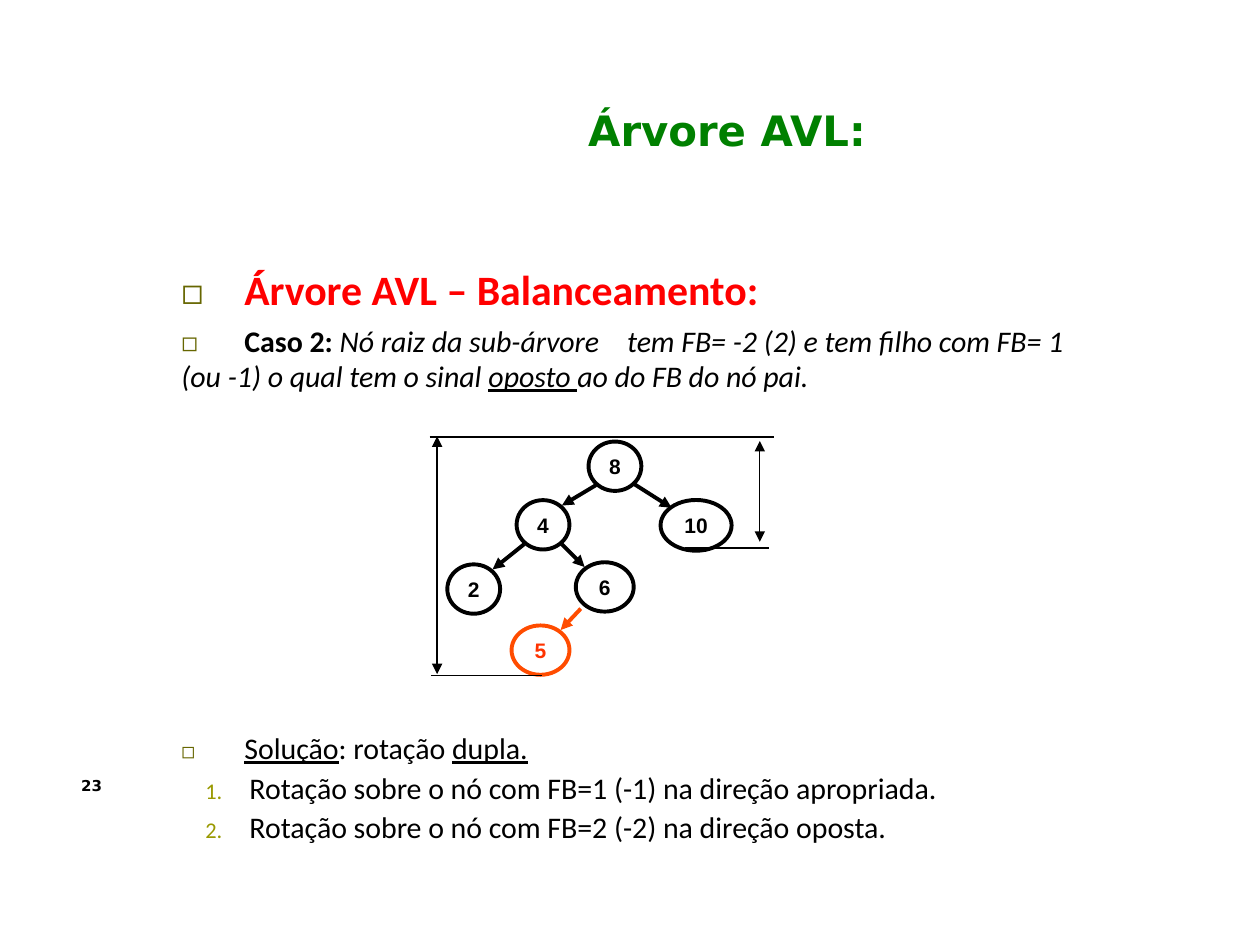
from dataclasses import dataclass
from typing import Optional

from pptx import Presentation
from pptx.dml.color import RGBColor
from pptx.enum.shapes import MSO_CONNECTOR, MSO_SHAPE
from pptx.enum.text import MSO_ANCHOR, PP_ALIGN
from pptx.oxml.ns import qn
from pptx.util import Pt
from lxml import etree

STRAIGHT = MSO_CONNECTOR.STRAIGHT
OVAL = MSO_SHAPE.OVAL
MIDDLE = MSO_ANCHOR.MIDDLE
CENTER = PP_ALIGN.CENTER


@dataclass(frozen=True)
class Theme:
    black: str = "000000"
    title: str = "008000"
    heading: str = "FF0000"
    bullet: str = "666600"
    number: str = "999900"
    new_line: str = "FF4C00"
    new_label: str = "FF3300"
    body_font: str = "Calibri"
    node_font: str = "Arial"
    title_font: str = "DejaVu Sans"
    heading_size: float = 23.9
    body_size: float = 17.1
    node_size: float = 12
    page_size: float = 8.6
    thick: float = 2.25
    thin: float = 0.75


THEME = Theme()


@dataclass(frozen=True)
class Run:
    text: str
    size: float = THEME.body_size
    font: str = THEME.body_font
    color: str = THEME.black
    bold: bool = False
    italic: bool = False
    underline: bool = False
    spacing: float = 0


@dataclass(frozen=True)
class Line:
    runs: tuple[Run, ...]
    before: float = 0
    leading: Optional[float] = None
    tab: Optional[float] = None
    indent: float = 0
    numbered: bool = False
    centered: bool = False


@dataclass(frozen=True)
class Node:
    label: str
    x: float
    y: float
    width: float = 30.2
    height: float = 28.2
    line_color: str = THEME.black
    label_color: str = THEME.black


@dataclass(frozen=True)
class Stroke:
    x1: float
    y1: float
    x2: float
    y2: float
    width: float = THEME.thin
    color: str = THEME.black
    head: bool = False
    tail: bool = False


def bullet(size: float) -> Run:
    """Return the square bullet and its tab."""
    return Run("◻\t", size, THEME.node_font, THEME.bullet)


HEADING = [
    Line((bullet(20.5), Run("Árvore AVL – Balanceamento:", THEME.heading_size,
                            color=THEME.heading, bold=True)), tab=43),
    Line((bullet(15.4), Run("Caso 2: ", bold=True),
          Run("Nó raiz da sub-árvore", italic=True),
          Run(" ", italic=True, spacing=12),
          Run("tem FB= -2 (2) e tem filho com FB= 1 (ou -1) o qual tem o sinal ", italic=True),
          Run("oposto ", italic=True, underline=True),
          Run("ao do FB do nó pai.", italic=True)), before=5.9, leading=19.9, tab=36),
]
SOLUTION = [
    Line((bullet(12.8), Run("Solução", underline=True), Run(": rotação "),
          Run("dupla.", underline=True)), tab=39.5),
    Line((Run("Rotação sobre o nó com FB=1 (-1) na direção apropriada."),),
         before=2.6, indent=38.9, numbered=True),
    Line((Run("Rotação sobre o nó com FB=2 (-2) na direção oposta."),),
         before=1.7, indent=38.9, numbered=True),
]
TITLE = [Line((Run("Árvore AVL:", THEME.heading_size, THEME.title_font, THEME.title, True),),
              indent=215.3, centered=True)]
PAGE = [Line((Run("23", THEME.page_size, THEME.title_font, bold=True),),
             leading=9.6, indent=1.8)]
NODES = [
    Node("8", 351.4, 266.4),
    Node("4", 310.3, 299.9),
    Node("2", 270.7, 336.6),
    Node("6", 345.6, 335.4, 33.1),
    Node("10", 397.8, 300.2, 40.6, 29),
    Node("5", 308.9, 371.5, 33.1, line_color=THEME.new_line, label_color=THEME.new_label),
]
STROKES = [
    Stroke(340.6, 277.2, 321.1, 288.9, THEME.thick, tail=True),
    Stroke(299.5, 311, 281.5, 325.4, THEME.thick, tail=True),
    Stroke(321.1, 311, 334.1, 324, THEME.thick, tail=True),
    Stroke(362.2, 276.5, 383.8, 290.2, THEME.thick, tail=True),
    Stroke(331.9, 347.8, 320.4, 360, THEME.thick, THEME.new_line, tail=True),
    Stroke(434.2, 252, 434.2, 309.6, head=True, tail=True),
    Stroke(249.8, 249.4, 249.8, 385.2, head=True, tail=True),
    Stroke(245.5, 249.8, 442.1, 249.8),
    Stroke(391.7, 313.2, 439.2, 313.2),
    Stroke(246.2, 385.9, 309.6, 385.9),
]


def add_run(paragraph, run: Run) -> None:
    """Append one formatted run."""
    text_run = paragraph.add_run()
    text_run.text = run.text
    font = text_run.font
    font.name, font.size = run.font, Pt(run.size)
    font.bold, font.italic, font.underline = run.bold, run.italic, run.underline
    font.color.rgb = RGBColor.from_string(run.color)
    if run.spacing:
        font._element.set("spc", str(round(run.spacing * 100)))


def add_numbering(properties) -> None:
    """Give a paragraph a coloured automatic number."""
    color = etree.SubElement(properties, qn("a:buClr"))
    etree.SubElement(color, qn("a:srgbClr"), val=THEME.number)
    etree.SubElement(properties, qn("a:buSzPct"), val="75000")
    etree.SubElement(properties, qn("a:buFont"), typeface=THEME.body_font)
    etree.SubElement(properties, qn("a:buAutoNum"), type="arabicPeriod")


def add_text(slide, left: float, top: float, width: float, height: float,
             lines: list[Line], inset_top: float = 0) -> None:
    """Add a text box holding the given lines."""
    shape = slide.shapes.add_textbox(Pt(left), Pt(top), Pt(width), Pt(height))
    frame = shape.text_frame
    frame.word_wrap = True
    frame.margin_left = frame.margin_right = frame.margin_bottom = 0
    frame.margin_top = Pt(inset_top)
    for index, line in enumerate(lines):
        paragraph = frame.add_paragraph() if index else frame.paragraphs[0]
        paragraph.space_before = Pt(line.before)
        if line.leading:
            paragraph.line_spacing = Pt(line.leading)
        if line.centered:
            paragraph.alignment = CENTER
        properties = paragraph._p.get_or_add_pPr()
        properties.set("marL", str(Pt(line.indent)))
        properties.set("indent", str(Pt(-25.2 if line.numbered else 0)))
        if line.numbered:
            add_numbering(properties)
        if line.tab:
            tabs = etree.SubElement(properties, qn("a:tabLst"))
            etree.SubElement(tabs, qn("a:tab"), pos=str(Pt(line.tab)), algn="l")
        for run in line.runs:
            add_run(paragraph, run)


def add_node(slide, node: Node) -> None:
    """Add a labelled tree node around its centre."""
    shape = slide.shapes.add_shape(OVAL, Pt(node.x - node.width / 2), Pt(node.y - node.height / 2),
                                   Pt(node.width), Pt(node.height))
    shape.shadow.inherit = False
    shape.fill.background()
    shape.line.color.rgb = RGBColor.from_string(node.line_color)
    shape.line.width = Pt(THEME.thick)
    frame = shape.text_frame
    frame.margin_left = frame.margin_right = frame.margin_top = frame.margin_bottom = 0
    frame.vertical_anchor = MIDDLE
    frame.word_wrap = False
    paragraph = frame.paragraphs[0]
    paragraph.alignment = CENTER
    add_run(paragraph, Run(node.label, THEME.node_size, THEME.node_font, node.label_color, True))


def add_stroke(slide, stroke: Stroke) -> None:
    """Add a straight line with optional arrowheads."""
    connector = slide.shapes.add_connector(STRAIGHT, Pt(stroke.x1), Pt(stroke.y1),
                                           Pt(stroke.x2), Pt(stroke.y2))
    connector.line.color.rgb = RGBColor.from_string(stroke.color)
    connector.line.width = Pt(stroke.width)
    outline = connector.line._get_or_add_ln()
    for tag, wanted in (("a:headEnd", stroke.head), ("a:tailEnd", stroke.tail)):
        if wanted:
            etree.SubElement(outline, qn(tag), type="triangle")
    etree.SubElement(connector._element.spPr, qn("a:effectLst"))


def main() -> None:
    """Build the slide and save it."""
    presentation = Presentation()
    presentation.slide_width, presentation.slide_height = Pt(720), Pt(540)
    slide = presentation.slides.add_slide(presentation.slide_layouts[6])
    add_text(slide, 103.7, 150.5, 518.4, 75.6, HEADING)
    add_text(slide, 103.7, 416.9, 443.5, 67, SOLUTION)
    for node in NODES:
        add_node(slide, node)
    for stroke in STROKES:
        add_stroke(slide, stroke)
    add_text(slide, 108, 46.8, 399.6, 42.5, TITLE, 13)
    add_text(slide, 44.6, 444.2, 20.2, 10.1, PAGE)
    presentation.save("out.pptx")


if __name__ == "__main__":
    main()
